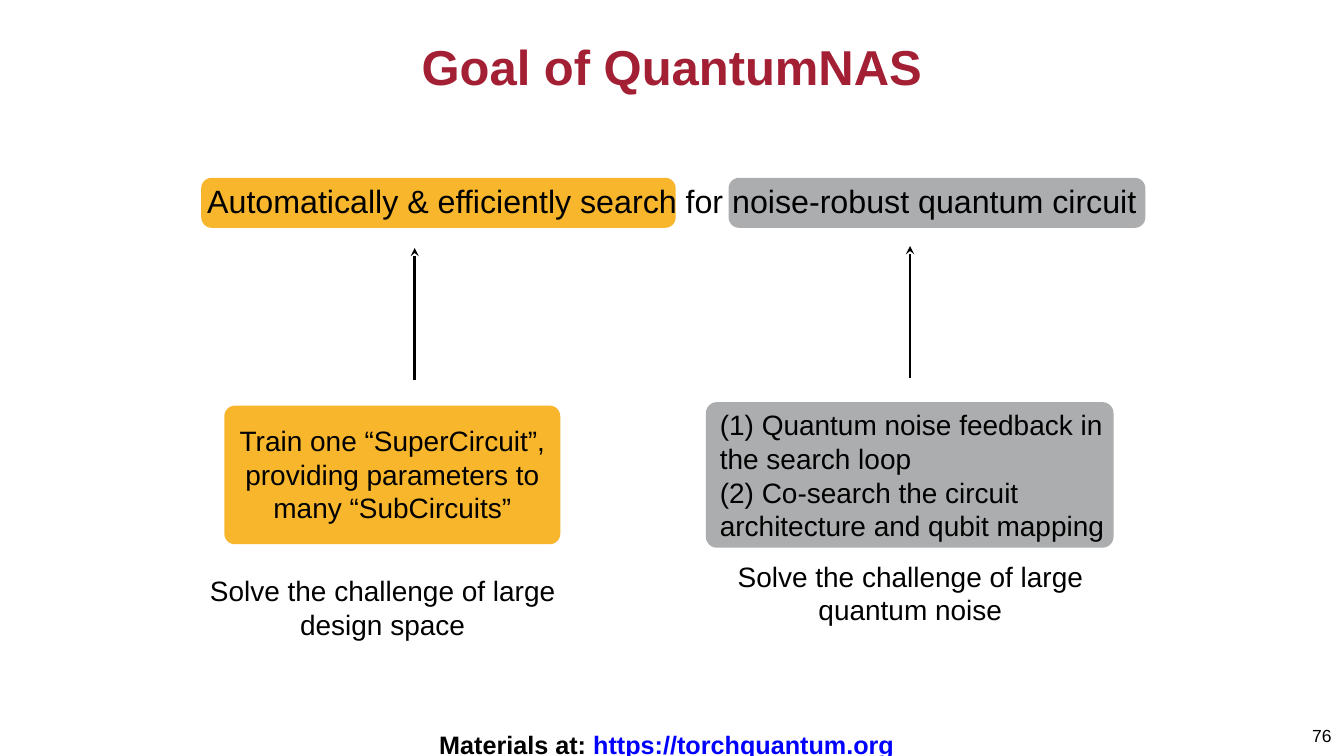
from lxml import etree
from pptx import Presentation, util as u
from pptx.dml.color import RGBColor
from pptx.enum import shapes, text
from pptx.oxml import ns

COLORS = {"crimson": "A31F34", "black": "000000", "link": "0000FF",
          "amber": "F8B62D", "gray": "8A8B8C"}
FONT = "Arial"
CENTER, LEFT = text.PP_ALIGN.CENTER, text.PP_ALIGN.LEFT
MIDDLE, TOP = text.MSO_ANCHOR.MIDDLE, text.MSO_ANCHOR.TOP

SLIDE = (1920.24, 1080)
TITLE = ("Goal of QuantumNAS", (96, 1.5, 1728, 198))
FOOTER = (("Materials at: ", "black"), ("https://torchquantum.org", "link"))

# color, opacity in percent, corner radius, (left, top, width, height)
PANELS = [
    ("gray", 70, 15, (1041, 254, 595.5, 71.5)),
    ("gray", 70, 15.8, (1008.5, 574.5, 582.5, 208)),
    ("amber", 100, 15, (320.5, 579.5, 480, 198)),
    ("amber", 100, 15, (287.5, 254, 678, 71.5)),
]
# paragraphs, size, alignment, wraps, (left, top, width, height)
LABELS = [
    (["Automatically & efficiently search for noise-robust quantum circuit"],
     46, CENTER, False, (291, 257, 1337.5, 60.5)),
    (["Train one “SuperCircuit”, providing parameters to many “SubCircuits”"],
     40, CENTER, True, (329, 606, 463, 142)),
    (["(1) Quantum noise feedback in the search loop",
      "(2) Co-search the circuit architecture and qubit mapping"],
     40, LEFT, True, (1024, 585.5, 563, 186.5)),
    (["Solve the challenge of large design space"],
     40, CENTER, True, (261.5, 816, 570, 103)),
    (["Solve the challenge of large quantum noise"],
     40, CENTER, True, (993, 795.5, 615, 103)),
]
ARROW_LENGTH = 188.6
ARROW_TIPS = [(592.5, 354.2), (1300.3, 351.4)]


def points(values):
    return [u.Pt(value) for value in values]


def rgb(name):
    return RGBColor.from_string(COLORS[name])


def style(font, size, color="black", bold=False):
    font.name, font.size, font.bold = FONT, u.Pt(size), bold
    font.color.rgb = rgb(color)


def add_panel(page, color, opacity, radius, place):
    panel = page.shapes.add_shape(shapes.MSO_SHAPE.ROUNDED_RECTANGLE, *points(place))
    panel.adjustments[0] = radius / min(place[2:])
    panel.shadow.inherit = False
    panel.line.fill.background()
    panel.fill.solid()
    panel.fill.fore_color.rgb = rgb(color)
    if opacity < 100:
        swatch = panel.fill._xPr.find(".//" + ns.qn("a:srgbClr"))
        etree.SubElement(swatch, ns.qn("a:alpha"), val=str(opacity * 1000))


def add_text(page, paragraphs, size, align, wraps, place, anchor=MIDDLE, inset=4.5):
    box = page.shapes.add_textbox(*points(place))
    frame = box.text_frame
    frame.text = "\n".join(paragraphs)
    frame.word_wrap, frame.vertical_anchor = wraps, anchor
    frame.margin_left = frame.margin_right = u.Pt(inset)
    frame.margin_top = frame.margin_bottom = u.Pt(min(inset, 4.5))
    for para in frame.paragraphs:
        para.alignment = align
        for span in para.runs:
            style(span.font, size)
    return box


def add_up_arrow(page, x, tip):
    arrow = page.shapes.add_connector(
        shapes.MSO_CONNECTOR.STRAIGHT, *points((x, tip, x, tip + ARROW_LENGTH)))
    arrow.line.width = u.Pt(4)
    arrow.line.color.rgb = rgb("black")
    etree.SubElement(arrow.line._get_or_add_ln(), ns.qn("a:headEnd"), type="stealth")
    etree.SubElement(arrow._element.spPr, ns.qn("a:effectLst"))


def add_title(page):
    wording, place = TITLE
    title = page.shapes.title
    title.left, title.top, title.width, title.height = points(place)
    frame = title.text_frame
    frame.text = wording
    frame.vertical_anchor = MIDDLE
    frame.margin_left = frame.margin_right = frame.margin_top = frame.margin_bottom = 0
    para = frame.paragraphs[0]
    para.alignment, para.line_spacing = CENTER, 0.85
    style(para.runs[0].font, 70, "crimson", True)


def add_footer(page):
    box = add_text(page, [""], 36, CENTER, False, (615.5, 1030.3, 674, 60), TOP, 3.6)
    para = box.text_frame.paragraphs[0]
    para.line_spacing = 1.2
    for wording, color in FOOTER:
        span = para.add_run()
        span.text = wording
        style(span.font, 36, color, True)
        span.font.underline = color == "link"


def main():
    deck = Presentation()
    deck.slide_width, deck.slide_height = points(SLIDE)
    page = deck.slides.add_slide(deck.slide_layouts[5])
    add_footer(page)
    for panel in PANELS:
        add_panel(page, *panel)
    add_title(page)
    add_text(page, ["76"], 25, LEFT, True, (1867.7, 1031, 59, 39.6), TOP, 7.2)
    for label in LABELS:
        add_text(page, *label)
    for tip in ARROW_TIPS:
        add_up_arrow(page, *tip)
    deck.save("out.pptx")


if __name__ == "__main__":
    main()
